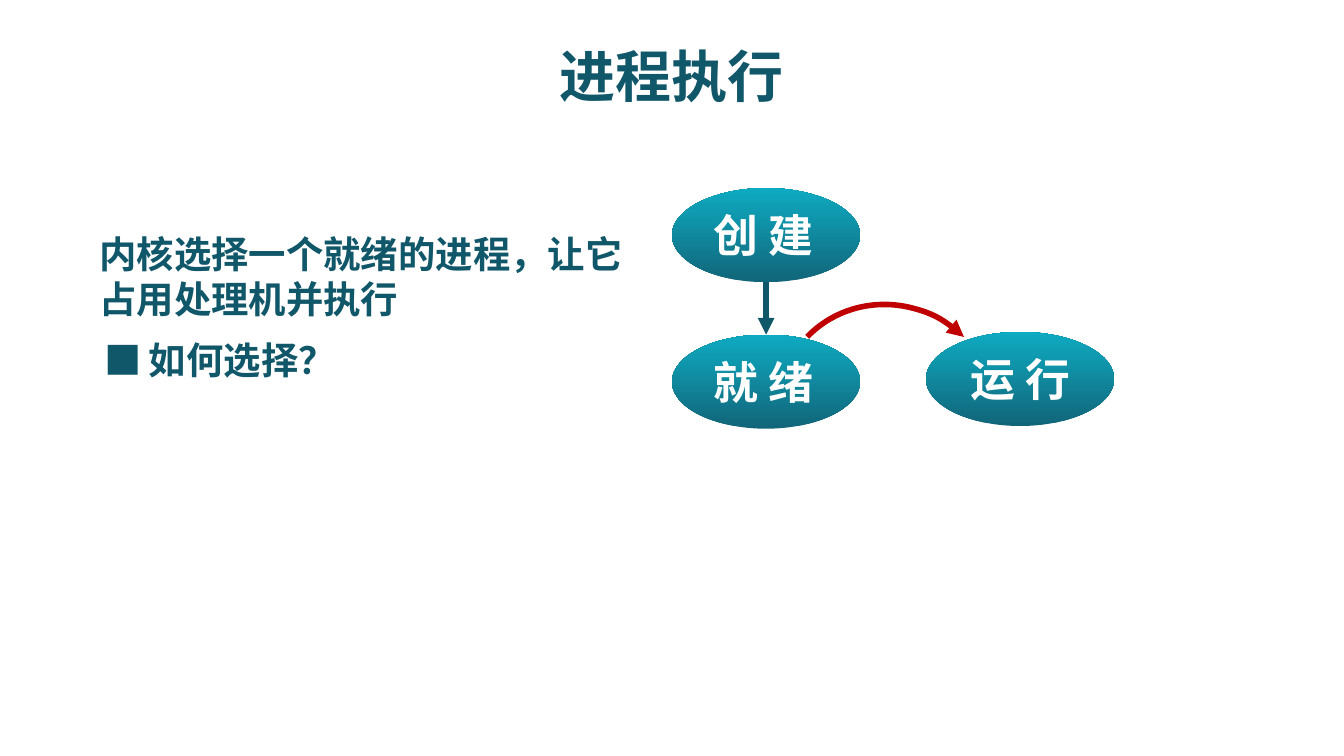
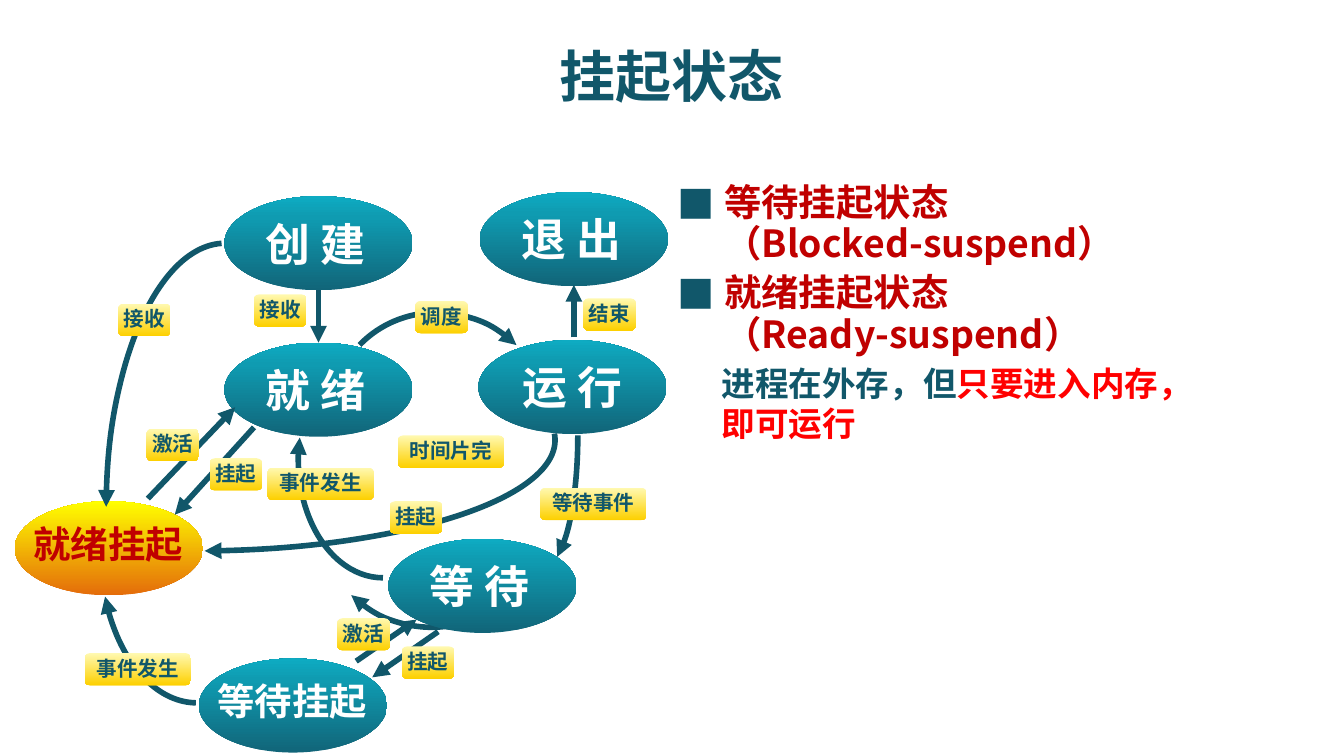
import pptx
import pptx.dml.color
import pptx.enum.shapes
import pptx.enum.text
import pptx.oxml
import pptx.oxml.ns
import pptx.util
from lxml import etree

PX = 9144  # 100 px to the inch
FONT = "Noto Sans CJK SC"
SQUARE_FONT = "Noto Sans CJK JP"
LINE_PITCH = 1.2
COLORS = {"teal": "11576A", "crimson": "C00000", "red": "FF0000", "white": "FFFFFF"}
GRADIENTS = {
    "teal": (270, [(0, "116579"), (77, "0F9BB1"), (100, "0EABC2")]),
    "orange": (270, [(0, "E46C0A"), (100, "FFFF00")]),
    "yellow": (90, [(0, "FFF9B1"), (100, "FDD000")]),
}
NODE_W, NODE_H = 140, 70
SHAPE = pptx.enum.shapes.MSO_SHAPE
ALIGN = pptx.enum.text.PP_ALIGN
ANCHOR = pptx.enum.text.MSO_ANCHOR
qn = pptx.oxml.ns.qn


def px(*values):
    return [pptx.util.Emu(v * PX) for v in values]


def rgb(name):
    return pptx.dml.color.RGBColor.from_string(COLORS[name])


def set_attrs(target, formats):
    for name, value in formats.items():
        setattr(target, name, value)


def write(tf, paragraphs, size, color="teal", font=FONT, align=ALIGN.LEFT,
          pitch=None, wrap=True, anchor=ANCHOR.TOP):
    """Fill a frame; a paragraph is a string or a list of (text, colour) runs."""
    set_attrs(tf, {"word_wrap": wrap, "vertical_anchor": anchor})
    for i, runs in enumerate(paragraphs):
        p = tf.paragraphs[0] if i == 0 else tf.add_paragraph()
        set_attrs(p, {"alignment": align,
                      "line_spacing": pptx.util.Pt(pitch or size * LINE_PITCH),
                      "space_before": pptx.util.Pt(size * 0.2 if i else 0)})
        for text, run_color in [(runs, color)] if isinstance(runs, str) else runs:
            r = p.add_run()
            r.text = text
            set_attrs(r.font, {"name": font, "size": pptx.util.Pt(size), "bold": True})
            r.font.color.rgb = rgb(run_color)
            ea = etree.SubElement(r.font._element, qn("a:ea"))
            ea.set("typeface", font)


def add_text(s, box, paragraphs, size, **formats):
    write(s.shapes.add_textbox(*px(*box)).text_frame, paragraphs, size, **formats)


def add_gradient_shape(s, kind, box, gradient):
    sp = s.shapes.add_shape(kind, *px(*box))
    sp.shadow.inherit = False
    sp.line.fill.background()
    sp.fill.gradient()
    grad = sp._element.spPr.find(qn("a:gradFill"))
    for child in list(grad):
        grad.remove(child)
    angle, stops = GRADIENTS[gradient]
    stop_list = etree.SubElement(grad, qn("a:gsLst"))
    for position, color in stops:
        gs = etree.SubElement(stop_list, qn("a:gs"), pos=str(position * 1000))
        etree.SubElement(gs, qn("a:srgbClr"), val=color)
    etree.SubElement(grad, qn("a:lin"), ang=str(angle * 60000), scaled="0")


def style_arrow(sp, color, end):
    sp.line.color.rgb = rgb(color)
    sp.line.width = pptx.util.Pt(3)
    etree.SubElement(sp.line._get_or_add_ln(), qn("a:" + end), type="triangle")


def add_arrow(s, x1, y1, x2, y2):
    sp = s.shapes.add_connector(pptx.enum.shapes.MSO_CONNECTOR.STRAIGHT,
                                *px(x1, y1, x2, y2))
    style_arrow(sp, "teal", "tailEnd")
    etree.SubElement(sp._element.spPr, qn("a:effectLst"))


def add_arc(s, box, angles=(270, 0), rotation=0, flip="", end="tailEnd", color="teal"):
    """Draw a curved arrow between two angles in degrees, clockwise from the right."""
    sp = s.shapes.add_shape(SHAPE.ARC, *px(*box))
    sp.shadow.inherit = False
    sp.fill.background()
    sp.rotation = rotation
    for i, angle in enumerate(angles):
        sp.adjustments[i] = angle * 0.6
    for axis in flip:
        sp._element.spPr.xfrm.set("flip" + axis, "1")
    style_arrow(sp, color, end)


def add_node(s, x, y, text, text_dx=21, size=24, color="white", gradient="teal"):
    add_gradient_shape(s, SHAPE.OVAL, (x, y, NODE_W, NODE_H), gradient)
    w, h = (98, 50) if size == 24 else (132, 44)
    add_text(s, (x + text_dx, y + 10, w, h), [text], size, color=color, wrap=False)


def add_label(s, x, y, text):
    w = 39 if len(text) == 2 else 79
    add_gradient_shape(s, SHAPE.ROUNDED_RECTANGLE, (x, y, w, 24), "yellow")
    add_text(s, (x - 8, y - 3, w + 16, 29), [text], 11, align=ALIGN.CENTER)


def add_title_slide(prs, title):
    s = prs.slides.add_slide(prs.slide_layouts[5])
    sp = s.shapes.title
    set_attrs(sp, dict(zip(("left", "top", "width", "height"), px(75, 10, 850, 92))))
    write(sp.text_frame, [title], 30, align=ALIGN.CENTER, anchor=ANCHOR.MIDDLE)
    return s


def add_square(s, x, y, w):
    add_text(s, (x, y, w, 44), ["■"], 20, font=SQUARE_FONT)


def draw_core_states(s, x, y, dispatch_color="teal"):
    """Created, ready and running, which both slides share."""
    add_node(s, x, y, "创 建")
    add_node(s, x, y + 109, "就 绪")
    add_node(s, x + 189, y + 107, "运 行", 23)
    add_arc(s, (x + 80, y + 85, 162, 168), rotation=314, color=dispatch_color)
    add_arrow(s, x + 70, y + NODE_H, x + 70, y + 109)


def draw_suspend_diagram(s, x, y):
    add_arc(s, (x + 369, y + 83, 50, 196), (0.13, 83.91))
    add_arc(s, (x + 224, y + 153, 167, 172), (267.64, 359.27), rotation=134)
    draw_core_states(s, x + 156, y + 3)
    add_node(s, x + 278, y + 258, "等 待")
    add_arc(s, (x - 137, y + 102, 539, 165), (358.96, 83.95))
    add_node(s, x + 346, y, "退 出")
    add_arc(s, (x + 211, y + 111, 126, 176), (345.24, 90), flip="H", end="headEnd")
    add_node(s, x, y + 230, "就绪挂起", 4, 20, "crimson", "orange")
    add_node(s, x + 137, y + 347, "等待挂起", 4, 20)
    for x1, y1, x2, y2 in [(416, 108, 416, 69), (315, 327, 266, 361), (254, 349, 299, 318),
                           (99, 228, 164, 160), (178, 175, 119, 240)]:
        add_arrow(s, x + x1, y + y1, x + x2, y + y2)
    add_arc(s, (x + 64, y + 155, 143, 225), (26.13, 89.63), flip="H", end="headEnd")
    add_arc(s, (x + 68, y + 38, 177, 395), (0.9, 89.23), flip="HV", end="headEnd")
    for dx, dy, text in [
        (279, 230, "挂起"), (77, 83, "接收"), (52, 343, "事件发生"), (178, 76, "接收"),
        (98, 176, "激活"), (145, 198, "挂起"), (188, 205, "事件发生"), (240, 317, "激活"),
        (288, 338, "挂起"), (391, 220, "等待事件"), (285, 181, "时间片完"),
        (298, 81, "调度"), (423, 79, "结束"),
    ]:
        add_label(s, x + dx, y + dy, text)


def draw_suspend_notes(s, x, y):
    notes = [("等待挂起状态", "（Blocked-suspend）"), ("就绪挂起状态", "（Ready-suspend）")]
    for i, lines in enumerate(notes):
        top = y + i * 67
        add_text(s, (x + 35, top + 7, 570 + i * 38, 78), lines, 20,
                 color="crimson", pitch=18)
        add_square(s, x, top, 42)
    add_text(s, (x + 33, y + 135, 384, 78),
             [[("进程在外存，但", "teal"), ("只要进入内存，即可运行", "red")]], 18)


def draw_selection_notes(s, x, y):
    add_text(s, (x, y, 415, 77), ["内核选择一个就绪的进程，让它占用处理机并执行"], 20)
    add_text(s, (x + 37, y + 79, 211, 44), ["如何选择？"], 20)
    add_square(s, x + 4, y + 79, 47)


def main():
    prs = pptx.Presentation()
    prs.slide_width = pptx.util.Emu(1000 * PX)
    prs.slide_height = pptx.util.Emu(prs.slide_width * 9 // 16)

    s = add_title_slide(prs, "进程执行")
    draw_selection_notes(s, 64, 167)
    draw_core_states(s, 500, 140, "crimson")

    s = add_title_slide(prs, "挂起状态")
    draw_suspend_notes(s, 494, 130)
    draw_suspend_diagram(s, 11, 143)

    prs.save("out.pptx")


if __name__ == "__main__":
    main()
